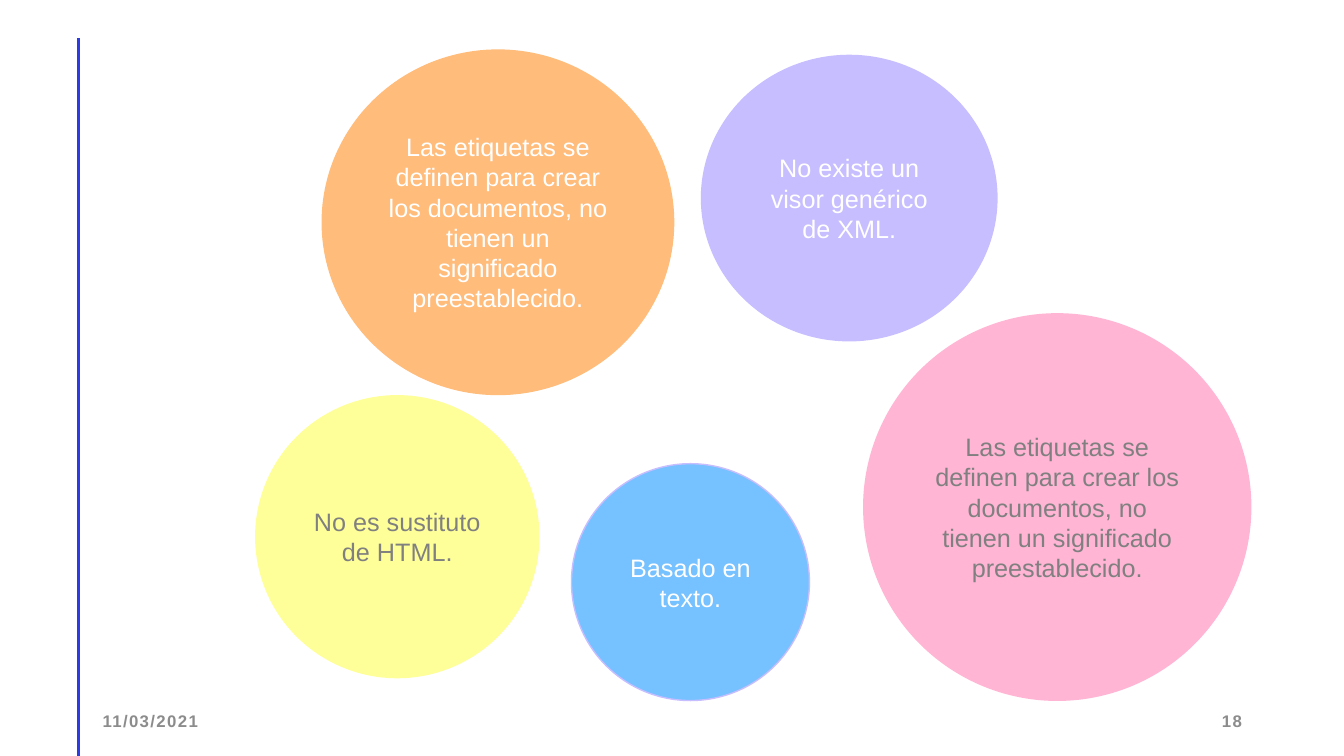
from dataclasses import dataclass
from typing import Optional

from lxml import etree
from pptx import Presentation
from pptx import util as u
from pptx.dml.color import RGBColor
from pptx.enum import shapes, text
from pptx.oxml import ns

WHITE = RGBColor(0xFF, 0xFF, 0xFF)
GREY = RGBColor(0x80, 0x80, 0x80)
FOOTER_GREY = RGBColor(0x8C, 0x8C, 0x8C)
RULE_BLUE = RGBColor(0x2B, 0x3C, 0xE6)
SKY = RGBColor(0x76, 0xC1, 0xFF)
LILAC = RGBColor(0xC7, 0xBE, 0xFF)
PINK = RGBColor(0xFF, 0xB5, 0xD3)
YELLOW = RGBColor(0xFF, 0xFF, 0x99)
ORANGE = RGBColor(0xFF, 0xBC, 0x7A)

TAGS_TEXT = ("Las etiquetas se definen para crear los documentos, "
             "no tienen un significado preestablecido.")


@dataclass(frozen=True)
class Bubble:
    left: float
    top: float
    width: float
    height: float
    wording: str
    fill: RGBColor
    color: RGBColor
    outline: Optional[RGBColor] = None


@dataclass(frozen=True)
class Footer:
    left: float
    wording: str
    alignment: text.PP_ALIGN


BUBBLES = [
    Bubble(408.2, 331.2, 170, 169.2, "Basado en texto.", SKY, WHITE, LILAC),
    Bubble(501.1, 39.6, 211, 203.8, "No existe un visor genérico de XML.",
           LILAC, WHITE, LILAC),
    Bubble(616.5, 223.7, 277.4, 277, TAGS_TEXT, PINK, GREY),
    Bubble(182.2, 282.2, 203.2, 202.3, "No es sustituto de HTML.", YELLOW, GREY),
    Bubble(229.7, 35.3, 252, 247, TAGS_TEXT, ORANGE, WHITE),
]
FOOTERS = [
    Footer(66.2, "11/03/2021", text.PP_ALIGN.LEFT),
    Footer(678.2, "18", text.PP_ALIGN.RIGHT),
]


def write(shape, wording: str, alignment: text.PP_ALIGN, font_format: dict):
    """Fill a shape with one formatted run and return that run."""
    frame = shape.text_frame
    frame.word_wrap = True
    frame.vertical_anchor = text.MSO_ANCHOR.MIDDLE
    paragraph = frame.paragraphs[0]
    paragraph.alignment = alignment
    run = paragraph.add_run()
    run.text = wording
    values = dict(font_format)
    run.font.color.rgb = values.pop("color")
    for name, value in values.items():
        setattr(run.font, name, value)
    return run


def draw_rule(slide) -> None:
    rule = slide.shapes.add_connector(
        shapes.MSO_CONNECTOR.STRAIGHT,
        u.Pt(56.2), u.Pt(27.5), u.Pt(56.2), u.Pt(540))
    rule.line.color.rgb = RULE_BLUE
    rule.line.width = u.Pt(2)
    etree.SubElement(rule._element.spPr, ns.qn("a:effectLst"))


def draw_footer(slide, footer: Footer) -> None:
    shape = slide.shapes.add_textbox(
        u.Pt(footer.left), u.Pt(500.4), u.Pt(216), u.Pt(28.8))
    run = write(shape, footer.wording, footer.alignment, {
        "name": "Arial", "size": u.Pt(12), "bold": True, "color": FOOTER_GREY})
    run._r.get_or_add_rPr().set("spc", "100")


def draw_bubble(slide, bubble: Bubble) -> None:
    shape = slide.shapes.add_shape(
        shapes.MSO_SHAPE.OVAL, u.Pt(bubble.left), u.Pt(bubble.top),
        u.Pt(bubble.width), u.Pt(bubble.height))
    shape.shadow.inherit = False
    shape.fill.solid()
    shape.fill.fore_color.rgb = bubble.fill
    if bubble.outline is None:
        shape.line.fill.background()
    else:
        shape.line.color.rgb = bubble.outline
        shape.line.width = u.Pt(1)
    write(shape, bubble.wording, text.PP_ALIGN.CENTER, {
        "name": "Arial", "size": u.Pt(18), "color": bubble.color})


def main() -> None:
    presentation = Presentation()
    presentation.slide_width = u.Pt(960)
    presentation.slide_height = u.Pt(540)
    slide = presentation.slides.add_slide(presentation.slide_layouts[6])
    draw_rule(slide)
    for footer in FOOTERS:
        draw_footer(slide, footer)
    for bubble in BUBBLES:
        draw_bubble(slide, bubble)
    presentation.save("out.pptx")


if __name__ == "__main__":
    main()
